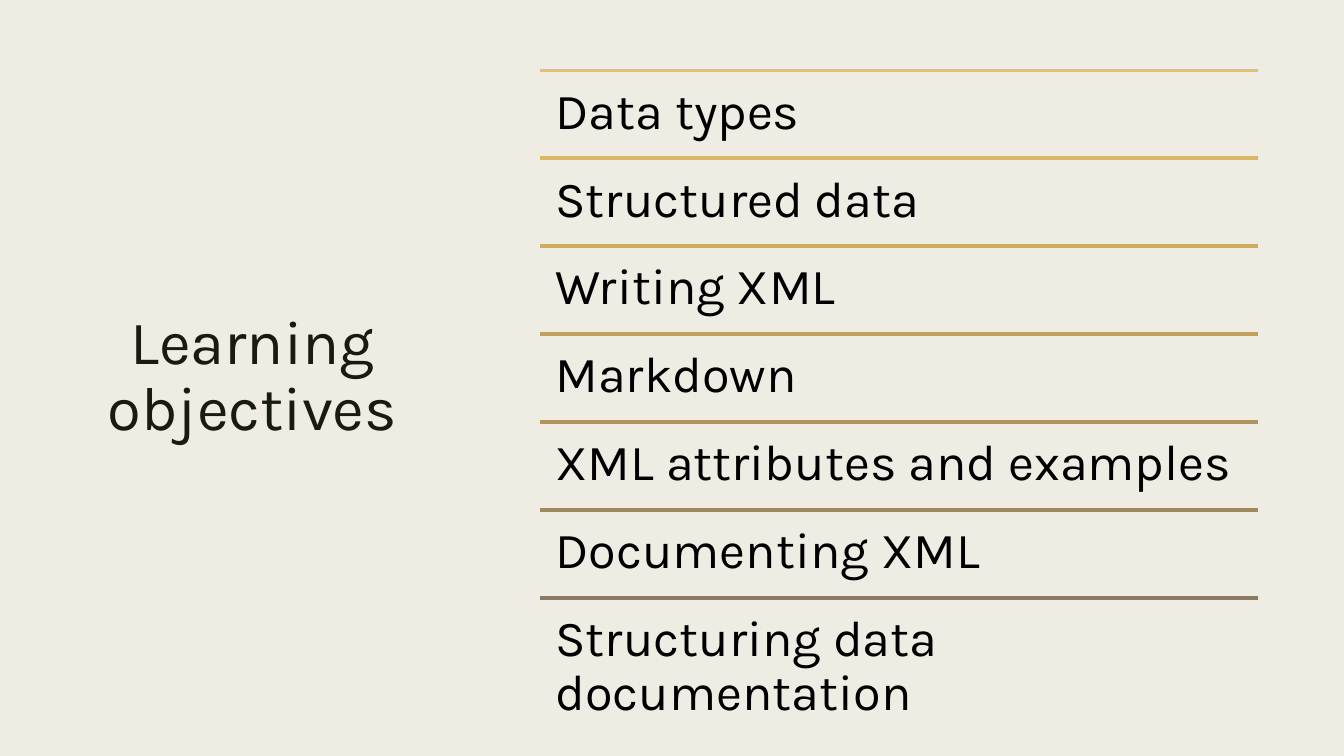
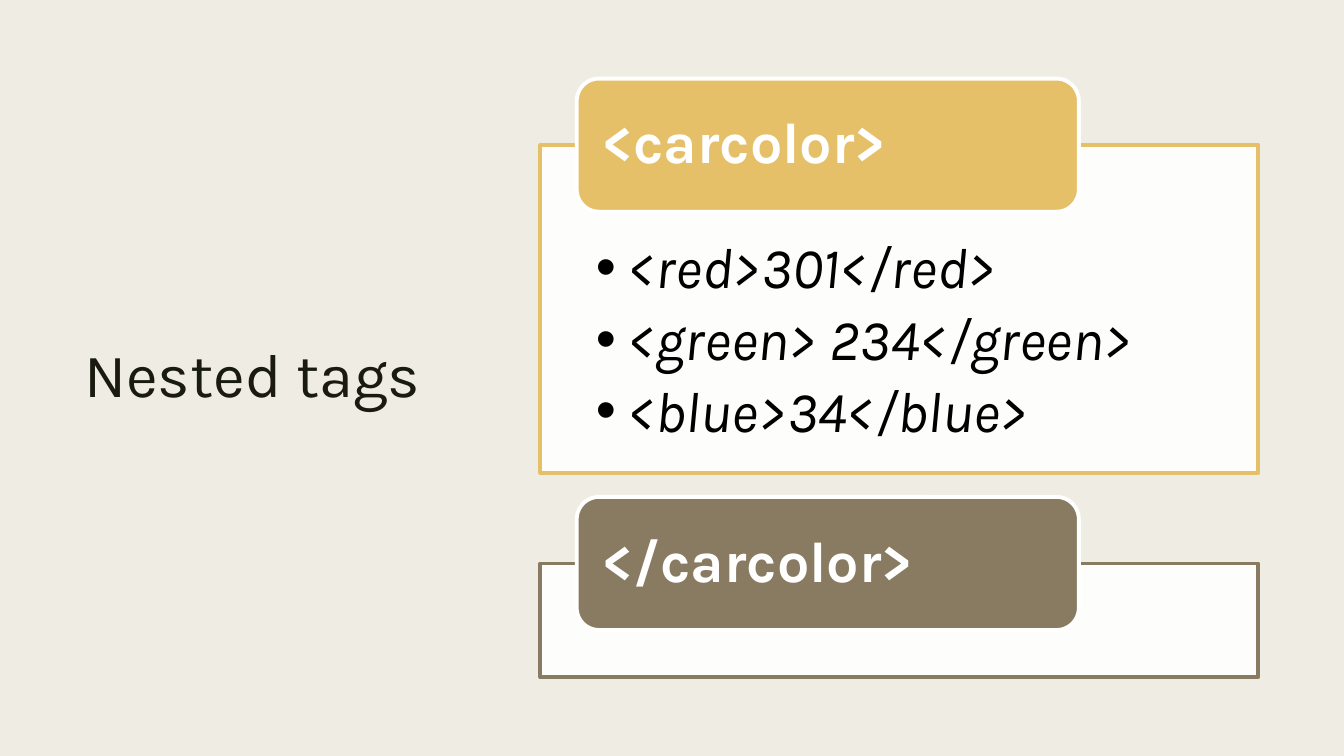
from lxml.etree import SubElement
from pptx import Presentation
from pptx.dml.color import RGBColor
from pptx.enum.shapes import MSO_CONNECTOR, MSO_SHAPE
from pptx.enum.text import MSO_ANCHOR, MSO_AUTO_SIZE, PP_ALIGN
from pptx.oxml.ns import qn
from pptx.util import Inches, Pt

FONT = "Karla"
CREAM = RGBColor(0xEF, 0xED, 0xE3)
INK = RGBColor(0x19, 0x1B, 0x0E)
BLACK = RGBColor(0, 0, 0)
WHITE = RGBColor(0xFF, 0xFF, 0xFF)
GOLD = RGBColor(0xE6, 0xC0, 0x69)
BROWN = RGBColor(0x89, 0x7B, 0x61)
RULE = Pt(2.75)

OBJECTIVES = [
    ("Data types", GOLD),
    ("Structured data", RGBColor(0xDB, 0xB6, 0x63)),
    ("Writing XML", RGBColor(0xCE, 0xAB, 0x5F)),
    ("Markdown", RGBColor(0xC0, 0xA0, 0x5C)),
    ("XML attributes and examples", RGBColor(0xB0, 0x94, 0x5B)),
    ("Documenting XML", RGBColor(0x9E, 0x88, 0x5D)),
    ("Structuring data documentation", BROWN),
]
CHILD_TAGS = ["<red>301</red>", "<green> 234</green>", "<blue>34</blue>"]

TOP, HEIGHT = 0.7, 6.1
LEFT, WIDTH = 5.36, 7.12  # content column
TAB_LEFT, TAB_WIDTH, TAB_HEIGHT = 5.72, 4.98, 1.32
TAB_RISE = 0.66  # how far a tab stands above its frame


def place(shape, left, top, width, height):
    shape.left, shape.top = Inches(left), Inches(top)
    shape.width, shape.height = Inches(width), Inches(height)


def write(shape, lines, size, color=BLACK, bold=False, italic=False, align=PP_ALIGN.LEFT,
          anchor=MSO_ANCHOR.TOP, insets=(0.1, 0.05, 0.1, 0.05), spacing=0.9, after=0, bullet=None):
    tf = shape.text_frame
    tf.word_wrap, tf.auto_size, tf.vertical_anchor = True, MSO_AUTO_SIZE.NONE, anchor
    tf.margin_left, tf.margin_top, tf.margin_right, tf.margin_bottom = map(Inches, insets)
    for i, line in enumerate(lines):
        p = tf.add_paragraph() if i else tf.paragraphs[0]
        p.alignment, p.line_spacing = align, spacing
        p.space_before, p.space_after = Pt(0), Pt(after)
        if bullet:
            pPr = p._p.get_or_add_pPr()
            pPr.set("marL", str(Inches(0.31)))
            pPr.set("indent", str(Inches(-0.31)))
            SubElement(pPr, qn("a:buChar"), char=bullet)
        r = p.add_run()
        r.text = line
        f = r.font
        f.name, f.size, f.bold, f.italic = FONT, Pt(size), bold, italic
        f.color.rgb = color


def paint(shape, fill, line, opacity=100):
    shape.fill.solid()
    shape.fill.fore_color.rgb = fill
    if opacity < 100:
        color = shape._element.spPr.find(qn("a:solidFill")).find(qn("a:srgbClr"))
        SubElement(color, qn("a:alpha"), val=str(opacity * 1000))
    shape.line.color.rgb = line
    shape.line.width = RULE


def add_shape(s, kind, *box):
    shape = s.shapes.add_shape(kind, *map(Inches, box))
    shape.shadow.inherit = False
    return shape


def add_slide(prs, layout, title):
    s = prs.slides.add_slide(prs.slide_layouts.get_by_name(layout))
    place(s.shapes.title, 0.7, TOP, 3.61, HEIGHT)
    write(s.shapes.title, [title], 44, INK, align=PP_ALIGN.CENTER,
          anchor=MSO_ANCHOR.MIDDLE, spacing=0.89)
    return s


def add_rule(s, y, color):
    line = s.shapes.add_connector(MSO_CONNECTOR.STRAIGHT, Inches(LEFT), Inches(y),
                                  Inches(LEFT + WIDTH), Inches(y))
    line.line.color.rgb = color
    line.line.width = RULE
    SubElement(line._element.spPr, qn("a:effectLst"))


def add_tab(s, frame_top, text, color):
    tab = add_shape(s, MSO_SHAPE.ROUNDED_RECTANGLE, TAB_LEFT, frame_top - TAB_RISE,
                    TAB_WIDTH, TAB_HEIGHT)
    paint(tab, color, WHITE)
    write(tab, [text], 41, WHITE, bold=True, anchor=MSO_ANCHOR.MIDDLE, insets=(0.19, 0, 0.19, 0))


def build_objectives(prs):
    s = add_slide(prs, "Title Only", "Learning objectives")
    row = HEIGHT / len(OBJECTIVES)
    for i, (text, color) in enumerate(OBJECTIVES):
        y = TOP + i * row
        add_rule(s, y, color)
        box = s.shapes.add_textbox(*map(Inches, (LEFT, y, WIDTH, row)))
        write(box, [text], 36, insets=(0.15,) * 4)


def build_nested_tags(prs):
    s = add_slide(prs, "Title and Content", "Nested tags")
    open_top, close_top = 1.44, 5.59
    body = s.placeholders[1]
    place(body, LEFT, open_top, WIDTH, 3.25)
    paint(body, WHITE, GOLD, opacity=90)
    write(body, CHILD_TAGS, 41, italic=True, insets=(0.55, 0.93, 0.55, 0.32), after=7, bullet="•")
    add_tab(s, open_top, "<carcolor>", GOLD)

    frame = add_shape(s, MSO_SHAPE.RECTANGLE, LEFT, close_top, WIDTH, 1.13)
    paint(frame, WHITE, BROWN, opacity=90)
    add_tab(s, close_top, "</carcolor>", BROWN)


def main():
    prs = Presentation()
    prs.slide_width, prs.slide_height = Inches(13.33), Inches(7.5)
    background = prs.slide_master.background.fill
    background.solid()
    background.fore_color.rgb = CREAM
    build_objectives(prs)
    build_nested_tags(prs)
    prs.save("out.pptx")


if __name__ == "__main__":
    main()
